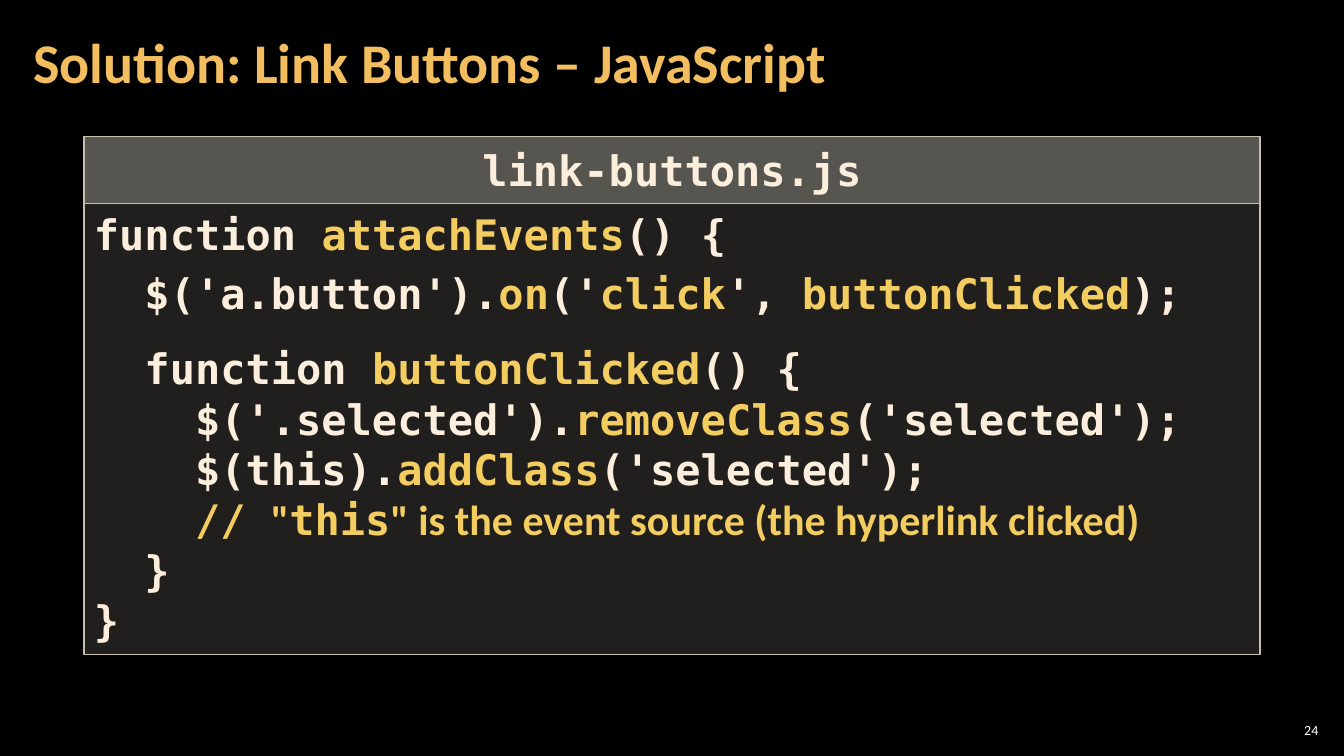
import pptx
import pptx.dml.color
import pptx.enum.shapes
import pptx.enum.text
import pptx.oxml
import pptx.oxml.ns
import pptx.util

Pt = pptx.util.Pt
ANCHOR = pptx.enum.text.MSO_ANCHOR
ALIGN = pptx.enum.text.PP_ALIGN

COLORS = {
    "background": "000000",
    "title": "F3BE60",
    "panel": "D9D5C7",
    "border": "C7BFAC",
    "code": "FBEEDC",
    "highlight": "F3CD60",
    "number": "FFFFFF",
}
SANS = "Calibri"
MONO = "DejaVu Sans Mono"
CODE_SIZE = 30
INDENT = 36.12  # two monospaced characters at the code size

PANEL_LEFT, PANEL_WIDTH = 60, 840

# Each line: indent level, space before, runs of (text, colour, font)
CODE_LINES = [
    (0, 0, [("function ", "code", MONO), ("attachEvents", "highlight", MONO),
            ("() {", "code", MONO)]),
    (1, 6, [("$('a.button').", "code", MONO), ("on", "highlight", MONO),
            ("('", "code", MONO), ("click", "highlight", MONO),
            ("', ", "code", MONO), ("buttonClicked", "highlight", MONO),
            (");", "code", MONO)]),
    (1, 18, [("function ", "code", MONO), ("buttonClicked", "highlight", MONO),
             ("() {", "code", MONO)]),
    (2, 0, [("$('.selected').", "code", MONO), ("removeClass", "highlight", MONO),
            ("('selected');", "code", MONO)]),
    (2, 0, [("$(this).", "code", MONO), ("addClass", "highlight", MONO),
            ("('selected');", "code", MONO)]),
    (2, 0, [("// ", "highlight", MONO), ('"', "highlight", SANS),
            ("this", "highlight", MONO),
            ('" is the event source (the hyperlink clicked)', "highlight", SANS)]),
    (1, 0, [("}", "code", MONO)]),
    (0, 0, [("}", "code", MONO)]),
]


def rgb(name):
    return pptx.dml.color.RGBColor.from_string(COLORS[name])


def set_frame(tf, anchor, inset_x, inset_y):
    tf.word_wrap = True
    tf.vertical_anchor = anchor
    tf.margin_left = tf.margin_right = Pt(inset_x)
    tf.margin_top = tf.margin_bottom = Pt(inset_y)


def style_font(font, size, color, name, bold):
    font.size = Pt(size)
    font.color.rgb = rgb(color)
    font.name = name
    font.bold = bold


def add_label(slide, text, box, inset_x, size, color, bold, align):
    sp = slide.shapes.add_textbox(*map(Pt, box))
    set_frame(sp.text_frame, ANCHOR.MIDDLE, inset_x, 2.88)
    p = sp.text_frame.paragraphs[0]
    p.text = text
    p.alignment = align
    style_font(p.font, size, color, SANS, bold)
    return p


def add_panel(slide, top, height, opacity, inset_y):
    """Add a bordered, translucent rectangle and return its text frame."""
    sp = slide.shapes.add_shape(
        pptx.enum.shapes.MSO_SHAPE.RECTANGLE,
        Pt(PANEL_LEFT), Pt(top), Pt(PANEL_WIDTH), Pt(height))
    sp.shadow.inherit = False
    sp.fill.solid()
    sp.fill.fore_color.rgb = rgb("panel")
    color = sp.fill._xPr.find(".//" + pptx.oxml.ns.qn("a:srgbClr"))
    alpha = pptx.oxml.parse_xml(
        f'<a:alpha {pptx.oxml.ns.nsdecls("a")} val="{opacity * 1000}"/>')
    color.append(alpha)
    sp.line.color.rgb = rgb("border")
    sp.line.width = Pt(1)
    set_frame(sp.text_frame, ANCHOR.TOP, 7.2, inset_y)
    return sp.text_frame


def add_code(tf, lines):
    for i, (level, space_before, runs) in enumerate(lines):
        p = tf.add_paragraph() if i else tf.paragraphs[0]
        p.alignment = ALIGN.LEFT
        p.space_before = Pt(space_before)
        p.font.size = Pt(CODE_SIZE)
        p.font.bold = True
        p._p.get_or_add_pPr().set("marL", str(Pt(level * INDENT)))
        for text, color, font in runs:
            r = p.add_run()
            r.text = text
            r.font.name = font
            r.font.color.rgb = rgb(color)


def main():
    prs = pptx.Presentation()
    prs.slide_width, prs.slide_height = Pt(960), Pt(540)
    slide = prs.slides.add_slide(prs.slide_layouts[6])
    slide.background.fill.solid()
    slide.background.fill.fore_color.rgb = rgb("background")

    # Slide number and title
    add_label(slide, "24", (910.8, 514.1, 33.8, 15.1), 2.88,
              10, "number", False, ALIGN.RIGHT)
    title = add_label(slide, "Solution: Link Buttons – JavaScript",
                      (15.1, 2.9, 753.8, 87.1), 8.64,
                      40, "title", True, ALIGN.LEFT)
    title.line_spacing = 0.9

    # File name bar
    p = add_panel(slide, 97.5, 47.8, 40, 5.76).paragraphs[0]
    p.text = "link-buttons.js"
    p.alignment = ALIGN.CENTER
    style_font(p.font, CODE_SIZE, "code", MONO, True)

    # Code listing
    add_code(add_panel(slide, 145.3, 322.4, 15, 3.6), CODE_LINES)

    prs.save("out.pptx")


if __name__ == "__main__":
    main()
